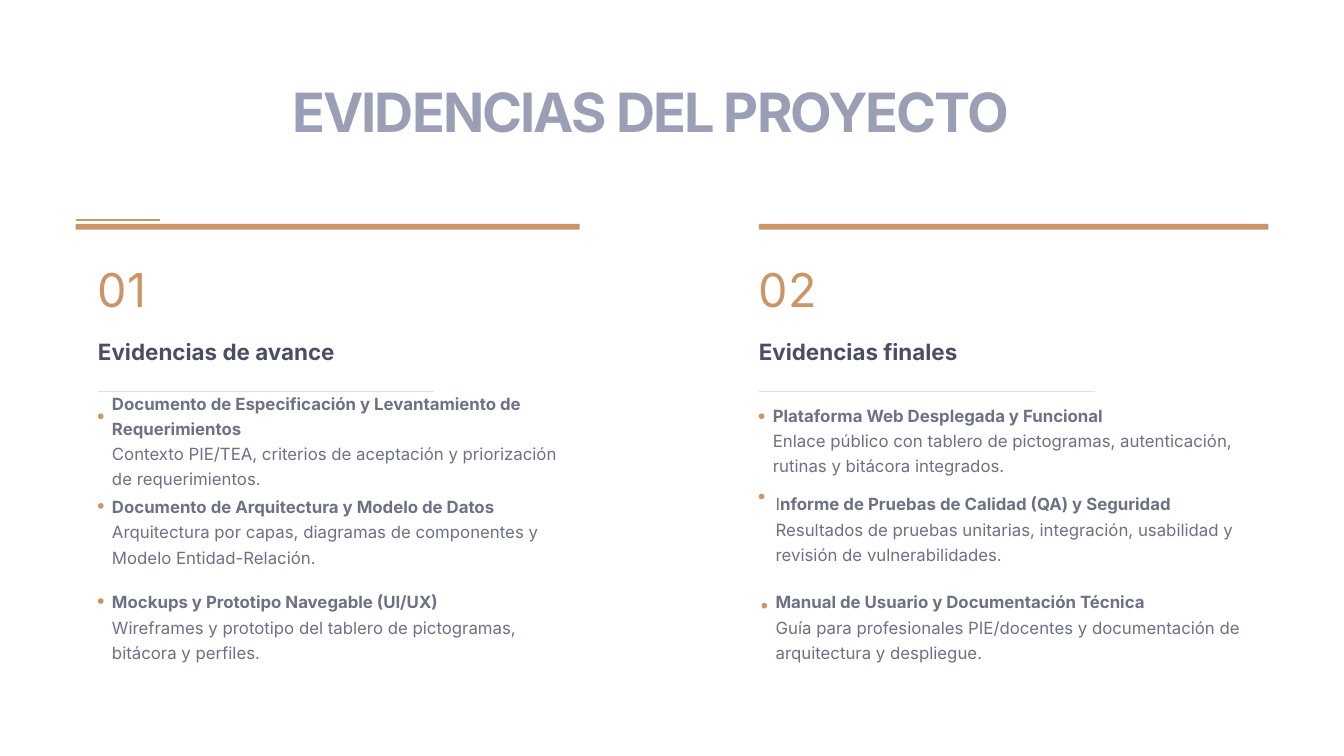
from dataclasses import dataclass

from lxml import etree
from pptx import Presentation
from pptx import util as u
from pptx.dml.color import RGBColor
from pptx.enum import shapes, text
from pptx.oxml import ns


@dataclass(frozen=True)
class Theme:
    font: str = "Inter"
    accent: str = "CB9667"
    title: str = "9A9FB6"
    heading: str = "4A4E63"
    body: str = "6C7184"
    divider: str = "E0E0E0"
    title_size: float = 58
    number_size: float = 50
    heading_size: float = 24
    body_size: float = 18


class SlideBuilder:
    def __init__(self, slide, theme):
        self.slide = slide
        self.theme = theme

    def text(self, box, paragraphs, size, color, leading, spacing=0):
        shape = self.slide.shapes.add_textbox(*map(u.Pt, box))
        frame = shape.text_frame
        frame_format = dict(margin_left=0, margin_top=0, margin_right=0, margin_bottom=0,
                            word_wrap=True, auto_size=text.MSO_AUTO_SIZE.SHAPE_TO_FIT_TEXT)
        for name, value in frame_format.items():
            setattr(frame, name, value)
        for index, runs in enumerate(paragraphs):
            paragraph = frame.add_paragraph() if index else frame.paragraphs[0]
            paragraph.line_spacing = u.Pt(leading)
            for content, bold in runs:
                run = paragraph.add_run()
                run.text = content
                for name, value in dict(name=self.theme.font, size=u.Pt(size), bold=bold).items():
                    setattr(run.font, name, value)
                run.font.color.rgb = RGBColor.from_string(color)
                if spacing:
                    run._r.get_or_add_rPr().set("spc", str(spacing * 100))

    def line(self, left, top, length, color, width):
        connector = self.slide.shapes.add_connector(
            shapes.MSO_CONNECTOR.STRAIGHT, *map(u.Pt, (left, top, left + length, top)))
        connector.line.color.rgb = RGBColor.from_string(color)
        connector.line.width = u.Pt(width)
        etree.SubElement(connector._element.spPr, ns.qn("a:effectLst"))

    def solid(self, kind, box):
        shape = self.slide.shapes.add_shape(kind, *map(u.Pt, box))
        shape.shadow.inherit = False
        shape.fill.solid()
        shape.fill.fore_color.rgb = RGBColor.from_string(self.theme.accent)
        shape.line.fill.background()

    def bar(self, left, width):
        self.solid(shapes.MSO_SHAPE.RECTANGLE, (left, 240, width, 6))

    def item(self, bullet, box, heading, description):
        self.solid(shapes.MSO_SHAPE.OVAL, (*bullet, 6, 6))
        self.text(box, [heading, [(description, False)]],
                  self.theme.body_size, self.theme.body, 27)

    def column(self, left, number, heading, items):
        theme = self.theme
        self.text((left, 289, 150, 52), [[(number, False)]],
                  theme.number_size, theme.accent, 50)
        self.text((left, 360, 360, 30), [[(heading, True)]],
                  theme.heading_size, theme.heading, 31.2)
        self.line(left, 419, 360, theme.divider, 0.75)
        for item in items:
            self.item(*item)


PROGRESS = [
    ((105, 443), (120, 416, 500, 104),
     [("Documento de Especificación y Levantamiento de Requerimientos", True)],
     "Contexto PIE/TEA, criterios de aceptación y priorización de requerimientos."),
    ((105, 539), (120, 527, 500, 77),
     [("Documento de Arquitectura y Modelo de Datos", True)],
     "Arquitectura por capas, diagramas de componentes y Modelo Entidad-Relación."),
    ((105, 641), (120, 629, 500, 77),
     [("Mockups y Prototipo Navegable (UI/UX)", True)],
     "Wireframes y prototipo del tablero de pictogramas, bitácora y perfiles."),
]

FINAL = [
    ((813, 443), (828, 429, 531, 77),
     [("Plataforma Web Desplegada y Funcional", True)],
     "Enlace público con tablero de pictogramas, autenticación, rutinas y bitácora integrados."),
    ((813, 529), (831, 524, 531, 77),
     [("I", False), ("nforme de Pruebas de Calidad (QA) y Seguridad", True)],
     "Resultados de pruebas unitarias, integración, usabilidad y revisión de vulnerabilidades."),
    ((816, 646), (831, 629, 528, 104),
     [("Manual de Usuario y Documentación Técnica", True)],
     "Guía para profesionales PIE/docentes y documentación de arquitectura y despliegue."),
]


def main():
    presentation = Presentation()
    presentation.slide_width = u.Pt(1440)
    presentation.slide_height = u.Pt(810)
    slide = presentation.slides.add_slide(presentation.slide_layouts[6])
    theme = Theme()
    builder = SlideBuilder(slide, theme)

    builder.text((313, 91, 814, 65), [[("EVIDENCIAS DEL PROYECTO", True)]],
                 theme.title_size, theme.title, 62.6, spacing=-2)
    builder.line(81, 235.5, 90, theme.accent, 2.25)
    builder.bar(81, 540)
    builder.column(105, "01", "Evidencias de avance", PROGRESS)
    builder.bar(813, 546)
    builder.column(813, "02", "Evidencias finales", FINAL)

    presentation.save("out.pptx")


if __name__ == "__main__":
    main()
